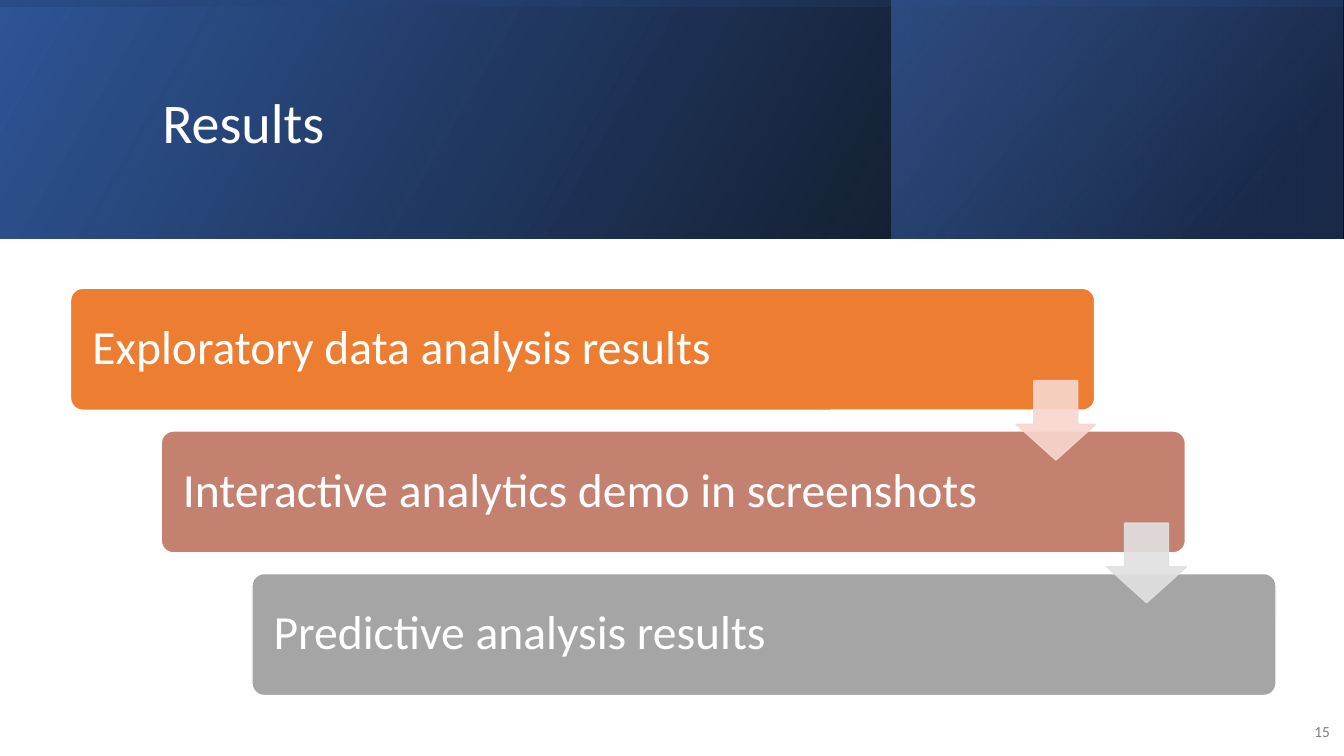
from lxml import etree
from pptx import Presentation
from pptx import util as u
from pptx.dml.color import RGBColor
from pptx.enum import shapes, text
from pptx.oxml import ns

STEPS = [
    ("Exploratory data analysis results", "ED7D31"),
    ("Interactive analytics demo in screenshots", "C48170"),
    ("Predictive analysis results", "A5A5A5"),
]
ARROWS = ["F8D7CE", "E1E1E1"]
STEP_LEFT, STEP_TOP = 5.25, 38.13
STEP_RIGHTWARD, STEP_DOWNWARD = 6.75, 18.87
BANNER_HEIGHT = 31.6


def colour(value):
    """Turn a hex string into a colour."""
    return RGBColor.from_string(value)


def add_alpha(parent, percent):
    """Give every plain colour below an element the same opacity."""
    for node in list(parent.iter(ns.qn("a:srgbClr"))):
        etree.SubElement(node, ns.qn("a:alpha"), val=str(percent * 1000))


class SlideBuilder:
    """Draws styled elements on one slide, with lengths in percent of its size."""

    font = "Calibri"

    def __init__(self, deck):
        """Open a title-only page."""
        self.deck = deck
        self.page = deck.slides.add_slide(deck.slide_layouts[5])

    def place(self, left, top, width, height):
        """Convert shares of the slide into lengths."""
        across, down = self.deck.slide_width / 100, self.deck.slide_height / 100
        return [u.Emu(round(n)) for n in
                (left * across, top * down, width * across, height * down)]

    def compose(self, box, words, size, ink, align="LEFT", after=6, spacing=1.0, margins=None):
        """Put one formatted paragraph in a box."""
        frame = box.text_frame
        settings = {"word_wrap": True, "auto_size": text.MSO_AUTO_SIZE.NONE,
                    "vertical_anchor": text.MSO_ANCHOR.MIDDLE}
        settings.update(margins or {})
        for name, value in settings.items():
            setattr(frame, name, value)
        para = frame.paragraphs[0]
        for name, value in {"alignment": getattr(text.PP_ALIGN, align),
                            "line_spacing": spacing, "space_before": u.Pt(0),
                            "space_after": u.Pt(after)}.items():
            setattr(para, name, value)
        span = para.add_run()
        span.text = words
        for name, value in {"name": self.font, "size": u.Pt(size)}.items():
            setattr(span.font, name, value)
        span.font.color.rgb = colour(ink)

    def shape(self, kind, area, adjustments=()):
        """Add a preset shape without a shadow."""
        shape = self.page.shapes.add_shape(kind, *self.place(*area))
        shape.shadow.inherit = False
        for index, value in enumerate(adjustments):
            shape.adjustments[index] = value
        return shape

    def paint(self, shape, fill, line):
        """Fill and outline a shape in solid colours."""
        shape.fill.solid()
        shape.fill.fore_color.rgb = colour(fill)
        shape.line.color.rgb = colour(line)
        shape.line.width = u.Pt(1)

    def gradient(self, area, stops, angle, rotation=0):
        """Add a mirrored rectangle with a translucent linear gradient."""
        panel = self.shape(shapes.MSO_SHAPE.RECTANGLE, area)
        panel.rotation = rotation
        panel.line.fill.background()
        panel.fill.background()
        properties = panel._element.spPr
        properties.find(ns.qn("a:xfrm")).set("flipH", "1")
        blend = etree.Element(ns.qn("a:gradFill"))
        listing = etree.SubElement(blend, ns.qn("a:gsLst"))
        for position, shade, opacity in stops:
            stop = etree.SubElement(listing, ns.qn("a:gs"), pos=str(position * 1000))
            etree.SubElement(stop, ns.qn("a:srgbClr"), val=shade)
            add_alpha(stop, opacity)
        etree.SubElement(blend, ns.qn("a:lin"), ang=str(angle * 60000), scaled="0")
        properties.replace(properties.find(ns.qn("a:noFill")), blend)

    def title(self, area, words):
        """Move the title placeholder to the front and fill it."""
        box = self.page.shapes.title
        box.left, box.top, box.width, box.height = self.place(*area)
        self.page.shapes._spTree.append(box._element)
        self.compose(box, words, 40, "FFFFFF", spacing=0.9)

    def label(self, area, words, size, ink, align):
        """Add a text box."""
        box = self.page.shapes.add_textbox(*self.place(*area))
        self.compose(box, words, size, ink, align)

    def step(self, left, top, words, fill):
        """Add one rounded bar of the staircase."""
        bar = self.shape(shapes.MSO_SHAPE.ROUNDED_RECTANGLE, (left, top, 76.2, 16.13), [0.1])
        self.paint(bar, fill, "FFFFFF")
        margins = {"margin_left": u.Inches(0.18), "margin_right": u.Inches(0.18)}
        self.compose(bar, words, 34, "FFFFFF", after=12, spacing=0.9, margins=margins)

    def arrow(self, left, top, fill):
        """Add a translucent arrow that leads to the next bar."""
        arrow = self.shape(shapes.MSO_SHAPE.DOWN_ARROW, (left, top, 5.93, 10.53), [0.55, 0.45])
        self.paint(arrow, fill, fill)
        add_alpha(arrow._element.spPr, 90)


def main():
    """Build the results slide."""
    deck = Presentation()
    deck.slide_width, deck.slide_height = u.Inches(13.33), u.Inches(7.5)
    slide = SlideBuilder(deck)

    slide.gradient((0, 0, 100, BANNER_HEIGHT), [(0, "000000", 96), (100, "2F5597", 100)], 330)
    slide.gradient((66.3, 0, 33.62, BANNER_HEIGHT),
                   [(19, "203864", 68), (100, "4472C4", 48)], 320)
    slide.gradient((41.11, -73.07, 17.78, 177.73),
                   [(23, "2F5597", 16), (99, "000000", 45)], 350, rotation=270)
    slide.title((11.33, 5.07, 79.75, 22.93), "Results")
    slide.label((96.02, 94.13, 3.68, 5.33), "15", 11, "808080", "RIGHT")

    corners = [(STEP_LEFT + i * STEP_RIGHTWARD, STEP_TOP + i * STEP_DOWNWARD)
               for i in range(len(STEPS))]
    for (left, top), (words, fill) in zip(corners, STEPS):
        slide.step(left, top, words, fill)
    for (left, top), fill in zip(corners, ARROWS):
        slide.arrow(left + 70.35, top + 12.2, fill)

    deck.save("out.pptx")


if __name__ == "__main__":
    main()
